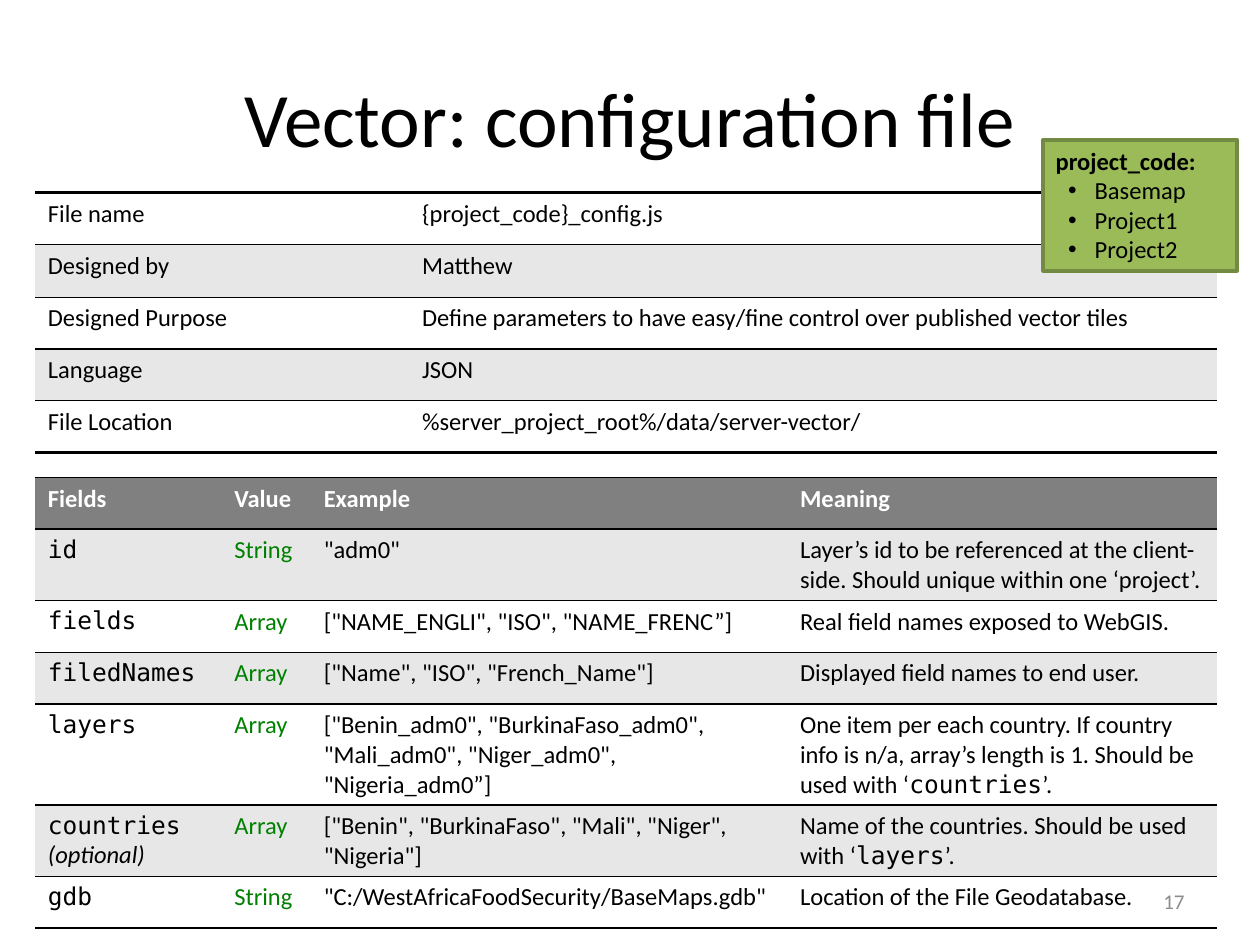
from lxml import etree
from pptx import Presentation
from pptx.dml.color import RGBColor
from pptx.enum.shapes import MSO_SHAPE
from pptx.enum.text import MSO_ANCHOR, PP_ALIGN
from pptx.oxml.ns import qn
from pptx.util import Inches, Pt

RECT = MSO_SHAPE.RECTANGLE
TOP, MIDDLE = MSO_ANCHOR.TOP, MSO_ANCHOR.MIDDLE
LEFT, CENTER, RIGHT = PP_ALIGN.LEFT, PP_ALIGN.CENTER, PP_ALIGN.RIGHT

SANS, MONO = "Calibri", "DejaVu Sans Mono"
COLORS = {
    "text": "000000", "white": "FFFFFF", "band": "E7E7E7", "header": "808080",
    "type": "008000", "note": "9BBB59", "note_line": "738A42", "number": "8C8C8C",
}

FILE_ROWS = [
    ("File name", "{project_code}_config.js"),
    ("Designed by", "Matthew"),
    ("Designed Purpose",
     "Define parameters to have easy/fine control over published vector tiles"),
    ("Language", "JSON"),
    ("File Location", "%server_project_root%/data/server-vector/"),
]
FIELD_HEADER = ("Fields", "Value", "Example", "Meaning")
FIELD_ROWS = [
    ("id", "String", '"adm0"',
     "Layer’s id to be referenced at the client-side. "
     "Should unique within one ‘project’."),
    ("fields", "Array", '["NAME_ENGLI", "ISO", "NAME_FRENC”]',
     "Real field names exposed to WebGIS."),
    ("filedNames", "Array", '["Name", "ISO", "French_Name"]',
     "Displayed field names to end user."),
    ("layers", "Array",
     '["Benin_adm0", "BurkinaFaso_adm0", "Mali_adm0", "Niger_adm0", "Nigeria_adm0”]',
     "One item per each country. If country info is n/a, array’s length is 1. "
     "Should be used with ‘`countries`’."),
    ("countries |(optional)", "Array",
     '["Benin", "BurkinaFaso", "Mali", "Niger", "Nigeria"]',
     "Name of the countries. Should be used with ‘`layers`’."),
    ("gdb", "String", '"C:/WestAfricaFoodSecurity/BaseMaps.gdb"',
     "Location of the File Geodatabase."),
]


def rgb(name):
    return RGBColor.from_string(COLORS[name])


def add_run(p, text, size=14, color="text", font=SANS, bold=False, italic=False):
    r = p.add_run()
    r.text = text
    r.font.name, r.font.size = font, Pt(size)
    r.font.bold, r.font.italic = bold, italic
    r.font.color.rgb = rgb(color)


def add_text(s, box, text, size, color, align):
    tf = s.shapes.add_textbox(*map(Inches, box)).text_frame
    tf.word_wrap = True
    tf.vertical_anchor = MIDDLE
    p = tf.paragraphs[0]
    p.alignment = align
    add_run(p, text, size, color)


def style_cell(cell, fill, top, bottom):
    cell.fill.solid()
    cell.fill.fore_color.rgb = rgb(fill)
    tc_pr = cell._tc.get_or_add_tcPr()
    widths = {"a:lnL": 0, "a:lnR": 0, "a:lnT": top, "a:lnB": bottom}
    for i, (tag, width) in enumerate(widths.items()):
        ln = etree.Element(qn(tag), w=str(Pt(width)))
        if width:
            solid = etree.SubElement(ln, qn("a:solidFill"))
            etree.SubElement(solid, qn("a:srgbClr"), val=COLORS["text"])
        else:
            etree.SubElement(ln, qn("a:noFill"))
        tc_pr.insert(i, ln)


def add_table(s, box, col_widths, n_rows, row_heights, edge, has_header):
    frame = s.shapes.add_table(n_rows, len(col_widths), *map(Inches, box))
    table = frame.table
    table.first_row = has_header
    table.horz_banding = False
    for col, width in zip(table.columns, col_widths):
        col.width = Inches(width)
    for i, (row, height) in enumerate(zip(table.rows, row_heights)):
        row.height = Inches(height)
        fill = "band" if i % 2 else "white"
        if has_header and i == 0:
            fill = "header"
        for cell in row.cells:
            style_cell(cell, fill, edge if i == 0 else 1,
                       edge if i == n_rows - 1 else 1)
    return table


def add_file_table(s, box):
    heights = [0.41, 0.42, 0.41, 0.41, 0.41]
    table = add_table(s, box, [2.97, 6.41], len(FILE_ROWS), heights, 2, False)
    for row, texts in zip(table.rows, FILE_ROWS):
        for cell, text in zip(row.cells, texts):
            add_run(cell.text_frame.paragraphs[0], text)


def add_field_table(s, box):
    n_rows = len(FIELD_ROWS) + 1
    table = add_table(s, box, [1.48, 0.71, 3.78, 3.41], n_rows,
                      [0.41] * n_rows, 1, True)
    for col, text in enumerate(FIELD_HEADER):
        p = table.cell(0, col).text_frame.paragraphs[0]
        add_run(p, text, color="white", bold=True)
    for i, (field, kind, example, meaning) in enumerate(FIELD_ROWS, 1):
        ps = [table.cell(i, col).text_frame.paragraphs[0] for col in range(4)]
        name, _, remark = field.partition("|")
        add_run(ps[0], name, font=MONO)
        if remark:
            add_run(ps[0], remark, italic=True)
        add_run(ps[1], kind, color="type")
        add_run(ps[2], example)
        for j, part in enumerate(meaning.split("`")):
            add_run(ps[3], part, font=MONO if j % 2 else SANS)


def add_note(s, box, heading, items):
    sp = s.shapes.add_shape(RECT, *map(Inches, box))
    sp.shadow.inherit = False
    sp.fill.solid()
    sp.fill.fore_color.rgb = rgb("note")
    sp.line.color.rgb = rgb("note_line")
    sp.line.width = Pt(2)
    tf = sp.text_frame
    tf.word_wrap = True
    tf.vertical_anchor = TOP
    p = tf.paragraphs[0]
    p.alignment = LEFT
    add_run(p, heading, bold=True)
    for item in items:
        p = tf.add_paragraph()
        p.alignment = LEFT
        p_pr = p._p.get_or_add_pPr()
        p_pr.set("marL", str(Inches(0.31)))
        p_pr.set("indent", str(Inches(-0.21)))
        etree.SubElement(p_pr, qn("a:buFont"), typeface="Arial")
        etree.SubElement(p_pr, qn("a:buChar"), char="•")
        add_run(p, item)


def main():
    prs = Presentation()
    prs.slide_width, prs.slide_height = Inches(10), Inches(7.5)
    s = prs.slides.add_slide(prs.slide_layouts[6])
    add_text(s, (0.5, 0.3, 9, 1.25), "Vector: configuration file", 44, "text", CENTER)
    add_file_table(s, (0.28, 1.53, 9.38, 2.04))
    add_field_table(s, (0.28, 3.79, 9.38, 3.56))
    add_note(s, (8.28, 1.11, 1.54, 1.04), "project_code:",
             ["Basemap", "Project1", "Project2"])
    add_text(s, (7.17, 6.95, 2.33, 0.4), "17", 12, "number", RIGHT)
    prs.save("out.pptx")


if __name__ == "__main__":
    main()
